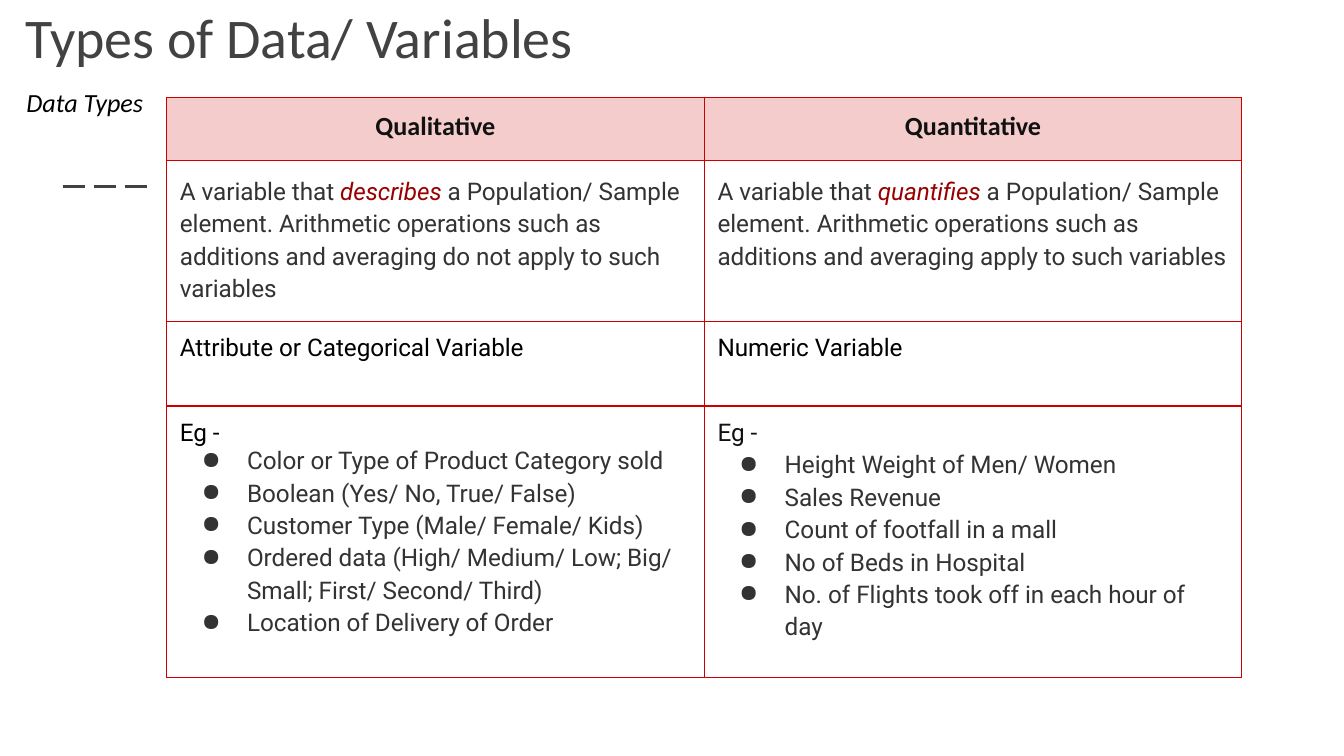
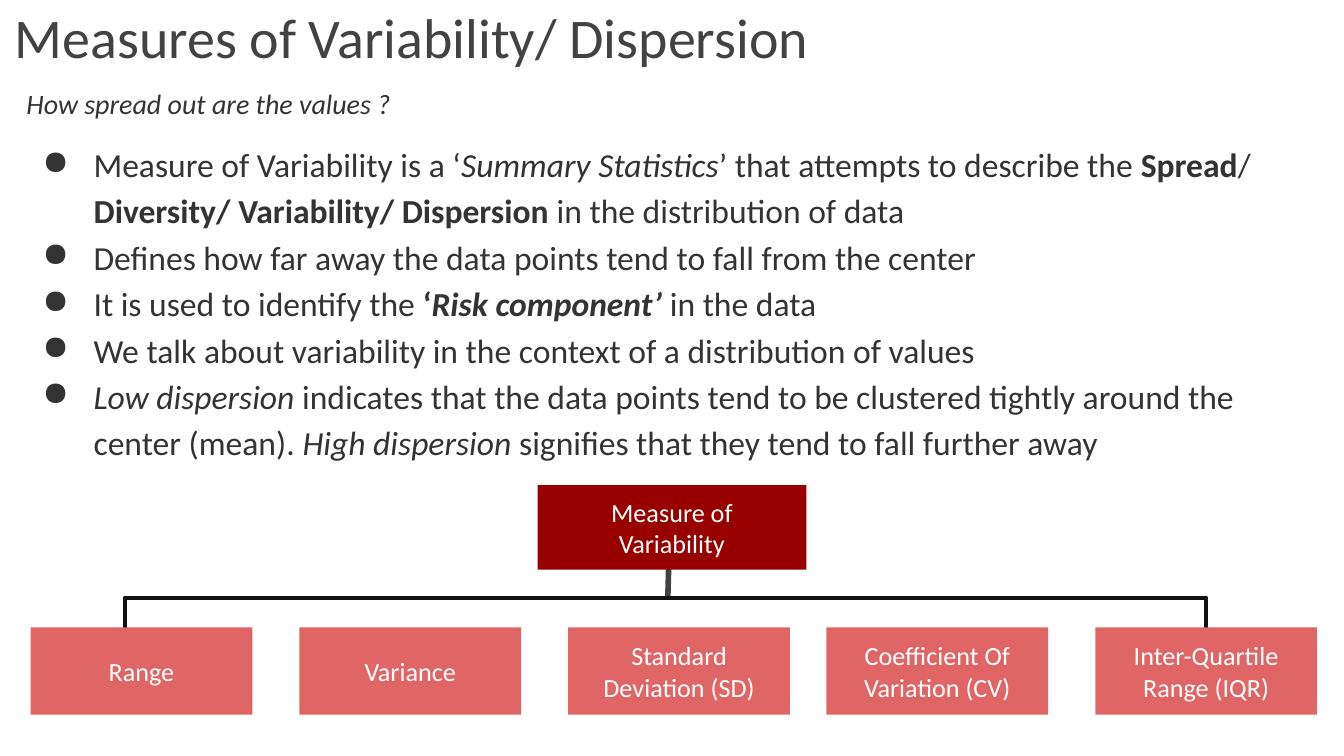
from dataclasses import dataclass, replace

from lxml import etree
from pptx import Presentation
from pptx.dml.color import RGBColor
from pptx.enum.dml import MSO_LINE
from pptx.enum.shapes import MSO_CONNECTOR, MSO_SHAPE
from pptx.enum.text import MSO_ANCHOR, PP_ALIGN
from pptx.oxml.ns import qn
from pptx.util import Cm, Pt

STRAIGHT, ELBOW = MSO_CONNECTOR.STRAIGHT, MSO_CONNECTOR.ELBOW
TOP, MIDDLE, BOTTOM = MSO_ANCHOR.TOP, MSO_ANCHOR.MIDDLE, MSO_ANCHOR.BOTTOM
LEFT, CENTER = PP_ALIGN.LEFT, PP_ALIGN.CENTER
RECTANGLE, LONG_DASH = MSO_SHAPE.RECTANGLE, MSO_LINE.LONG_DASH

WHITE = RGBColor(0xFF, 0xFF, 0xFF)
BLACK = RGBColor(0x00, 0x00, 0x00)
INK = RGBColor(0x11, 0x11, 0x11)
TEXT_GREY = RGBColor(0x33, 0x33, 0x33)
TITLE_GREY = RGBColor(0x42, 0x42, 0x42)
DARK_RED = RGBColor(0x98, 0x00, 0x00)
BORDER_RED = RGBColor(0xCC, 0x00, 0x00)
SOFT_RED = RGBColor(0xE0, 0x66, 0x66)
PALE_RED = RGBColor(0xF4, 0xCC, 0xCC)
INSET = Cm(0.25)


@dataclass(frozen=True)
class Style:
    size: int
    color: RGBColor
    font: str = "Calibri"
    bold: bool = False
    italic: bool = False
    align: PP_ALIGN = LEFT
    spacing: float = 1.0
    after: int = 0
    hanging: float = 0  # bullet indent in cm, 0 for no bullet


TITLE = Style(30, TITLE_GREY)
SUBTITLE = Style(14, BLACK, italic=True, spacing=1.15, after=16)
QUESTION = replace(SUBTITLE, size=15, color=TEXT_GREY)
HEADER = Style(14, INK, bold=True, align=CENTER)
DEFINITION = Style(13, TEXT_GREY, "Roboto", spacing=1.15, after=16)
PLAIN = Style(13, BLACK, "Roboto")
PLAIN_INK = replace(PLAIN, color=INK)
EXAMPLE = Style(13, TEXT_GREY, "Roboto", spacing=1.15, hanging=0.86)
TIGHT_EXAMPLE = replace(EXAMPLE, spacing=1.0)
POINT = Style(18, TEXT_GREY, spacing=1.15, hanging=0.97)
NODE = Style(14, WHITE, align=CENTER)

# Content: a paragraph is (style, run, run, ...); a run is text or (text, marks),
# with marks b = bold, i = italic, r = dark red
DATA_TYPES = [
    [[(HEADER, "Qualitative")], [(HEADER, "Quantitative")]],
    [
        [(DEFINITION, "A variable that ", ("describes", "ir"),
          " a Population/ Sample element. Arithmetic operations such as "
          "additions and averaging do not apply to such variables")],
        [(DEFINITION, "A variable that ", ("quantifies", "ir"),
          " a Population/ Sample element. Arithmetic operations such as "
          "additions and averaging apply to such variables")],
    ],
    [[(PLAIN, "Attribute or Categorical Variable")], [(PLAIN, "Numeric Variable")]],
    [
        [(PLAIN, "Eg -"),
         (TIGHT_EXAMPLE, "Color or Type of Product Category sold"),
         (EXAMPLE, "Boolean (Yes/ No, True/ False)"),
         (EXAMPLE, "Customer Type (Male/ Female/ Kids)"),
         (EXAMPLE, "Ordered data (High/ Medium/ Low; Big/ Small; First/ Second/ Third)"),
         (EXAMPLE, "Location of Delivery of Order")],
        [(PLAIN_INK, "Eg -"),
         (EXAMPLE, "Height Weight of Men/ Women"),
         (EXAMPLE, "Sales Revenue"),
         (EXAMPLE, "Count of footfall in a mall"),
         (EXAMPLE, "No of Beds in Hospital"),
         (EXAMPLE, "No. of Flights took off in each hour of day")],
    ],
]
ROW_HEIGHTS = [1.19, 2.95, 1.6, 5.13]
COLUMN_WIDTH = 10.16

VARIABILITY_POINTS = [
    (POINT, "Measure of Variability is a ‘", ("Summary Statistics", "i"),
     "’ that attempts to describe the ", ("Spread", "b"), "/ ", ("Diversity/", "b"), " ",
     ("Variability/ Dispersion", "b"), " in the distribution of data"),
    (POINT, "Defines how far away the data points tend to fall from the center"),
    (POINT, "It is used to identify the ", ("‘", "b"), ("Risk component’", "bi"),
     " in the data"),
    (POINT, "We talk about variability in the context of a distribution of values"),
    (POINT, ("Low dispersion", "i"),
     " indicates that the data points tend to be clustered tightly around the center (mean). ",
     ("High dispersion", "i"), " signifies that they tend to fall further away"),
]
ROOT = ["Measure of", "Variability"]
MEASURES = [  # left edge in cm, label
    (0.58, "Range"),
    (5.66, "Variance"),
    (10.74, "Standard Deviation (SD)"),
    (15.62, "Coefficient Of Variation (CV)"),
    (20.7, "Inter-Quartile Range (IQR)"),
]


def add_bullet(paragraph, style):
    properties = paragraph._p.get_or_add_pPr()
    properties.set("marL", str(Cm(1.27)))
    properties.set("indent", str(-Cm(style.hanging)))
    color = etree.SubElement(properties, qn("a:buClr"))
    etree.SubElement(color, qn("a:srgbClr"), val=str(TEXT_GREY))
    etree.SubElement(properties, qn("a:buChar"), char="●")


def write(frame, paragraphs):
    frame.word_wrap = True
    for index, (style, *runs) in enumerate(paragraphs):
        para = frame.paragraphs[0] if index == 0 else frame.add_paragraph()
        para.alignment = style.align
        para.line_spacing = style.spacing
        para.space_after = Pt(style.after)
        if style.hanging:
            add_bullet(para, style)
        para.font.size = Pt(style.size)
        para.font.name = style.font
        para.font.color.rgb = style.color
        para.font.bold = style.bold
        para.font.italic = style.italic
        for run in runs:
            text, marks = (run, "") if isinstance(run, str) else run
            span = para.add_run()
            span.text = text
            if "b" in marks:
                span.font.bold = True
            if "i" in marks:
                span.font.italic = True
            if "r" in marks:
                span.font.color.rgb = DARK_RED


def set_insets(target):
    target.margin_left = target.margin_right = INSET
    target.margin_top = target.margin_bottom = INSET


def add_text(page, left, top, width, height, paragraphs, anchor=TOP):
    box = page.shapes.add_textbox(Cm(left), Cm(top), Cm(width), Cm(height))
    set_insets(box.text_frame)
    box.text_frame.vertical_anchor = anchor
    write(box.text_frame, paragraphs)
    return box


def add_node(page, left, top, width, height, fill, lines):
    node = page.shapes.add_shape(RECTANGLE, Cm(left), Cm(top), Cm(width), Cm(height))
    node.shadow.inherit = False
    node.fill.solid()
    node.fill.fore_color.rgb = fill
    node.line.fill.background()
    set_insets(node.text_frame)
    node.text_frame.vertical_anchor = MIDDLE
    write(node.text_frame, [(NODE, line) for line in lines])


def add_line(page, kind, start, end, color, width):
    x1, y1, x2, y2 = (Cm(value) for value in start + end)
    line = page.shapes.add_connector(kind, x1, y1, x2, y2)
    line.line.color.rgb = color
    line.line.width = Pt(width)
    properties = line._element.spPr
    etree.SubElement(properties, qn("a:effectLst"))
    if kind == ELBOW:  # run across first, then drop at the far end
        adjustments = properties.find(qn("a:prstGeom")).get_or_add_avLst()
        etree.SubElement(adjustments, qn("a:gd"), name="adj1", fmla="val 100000")
    return line


def add_page(deck, title, left):
    page = deck.slides.add_slide(deck.slide_layouts[6])
    add_text(page, left, -0.03, 23.67, 1.6, [(TITLE, title)], BOTTOM)
    return page


def format_cell(cell, fill):
    set_insets(cell)
    properties = cell._tc.get_or_add_tcPr()
    for side in ("a:lnL", "a:lnR", "a:lnT", "a:lnB"):
        border = etree.SubElement(properties, qn(side), w=str(Pt(0.75)))
        solid = etree.SubElement(border, qn("a:solidFill"))
        etree.SubElement(solid, qn("a:srgbClr"), val=str(BORDER_RED))
    if fill is None:
        cell.fill.background()
    else:
        cell.fill.solid()
        cell.fill.fore_color.rgb = fill


def build_data_types(deck):
    page = add_page(deck, "Types of Data/ Variables", 0.23)
    dash = add_line(page, STRAIGHT, (1.19, 3.53), (2.9, 3.53), TITLE_GREY, 1.5)
    dash.line.dash_style = LONG_DASH

    # Comparison table
    columns = len(DATA_TYPES[0])
    table = page.shapes.add_table(
        len(DATA_TYPES), columns, Cm(3.15), Cm(1.85),
        Cm(COLUMN_WIDTH * columns), Cm(sum(ROW_HEIGHTS))).table
    table.first_row = table.horz_banding = False
    for column in table.columns:
        column.width = Cm(COLUMN_WIDTH)
    for row_index, row in enumerate(DATA_TYPES):
        table.rows[row_index].height = Cm(ROW_HEIGHTS[row_index])
        for column_index, paragraphs in enumerate(row):
            cell = table.cell(row_index, column_index)
            format_cell(cell, PALE_RED if row_index == 0 else None)
            write(cell.text_frame, paragraphs)

    add_text(page, 0.25, 1.3, 11.51, 1.24, [(SUBTITLE, "Data Types")])


def build_variability(deck):
    page = add_page(deck, "Measures of Variability/ Dispersion", 0.03)
    body = add_text(page, 0.25, 2.36, 24.23, 6.48, VARIABILITY_POINTS)
    body.fill.solid()
    body.fill.fore_color.rgb = WHITE
    add_text(page, 0.25, 1.3, 23.01, 1.09, [(QUESTION, "How spread out are the values ?")])

    # Tree: stem and branches first, boxes over them
    add_line(page, STRAIGHT, (12.65, 10.24), (12.62, 11.33), TITLE_GREY, 3)
    for branch_end in (2.36, 22.8):
        add_line(page, ELBOW, (12.83, 11.3), (branch_end, 12.4), INK, 2.25)
    add_node(page, 10.16, 9.17, 5.08, 1.6, DARK_RED, ROOT)
    for left, label in MEASURES:
        add_node(page, left, 11.86, 4.19, 1.65, SOFT_RED, [label])


def main():
    deck = Presentation()
    deck.slide_width, deck.slide_height = Cm(25.4), Cm(14.29)
    build_data_types(deck)
    build_variability(deck)
    deck.save("out.pptx")


if __name__ == "__main__":
    main()
